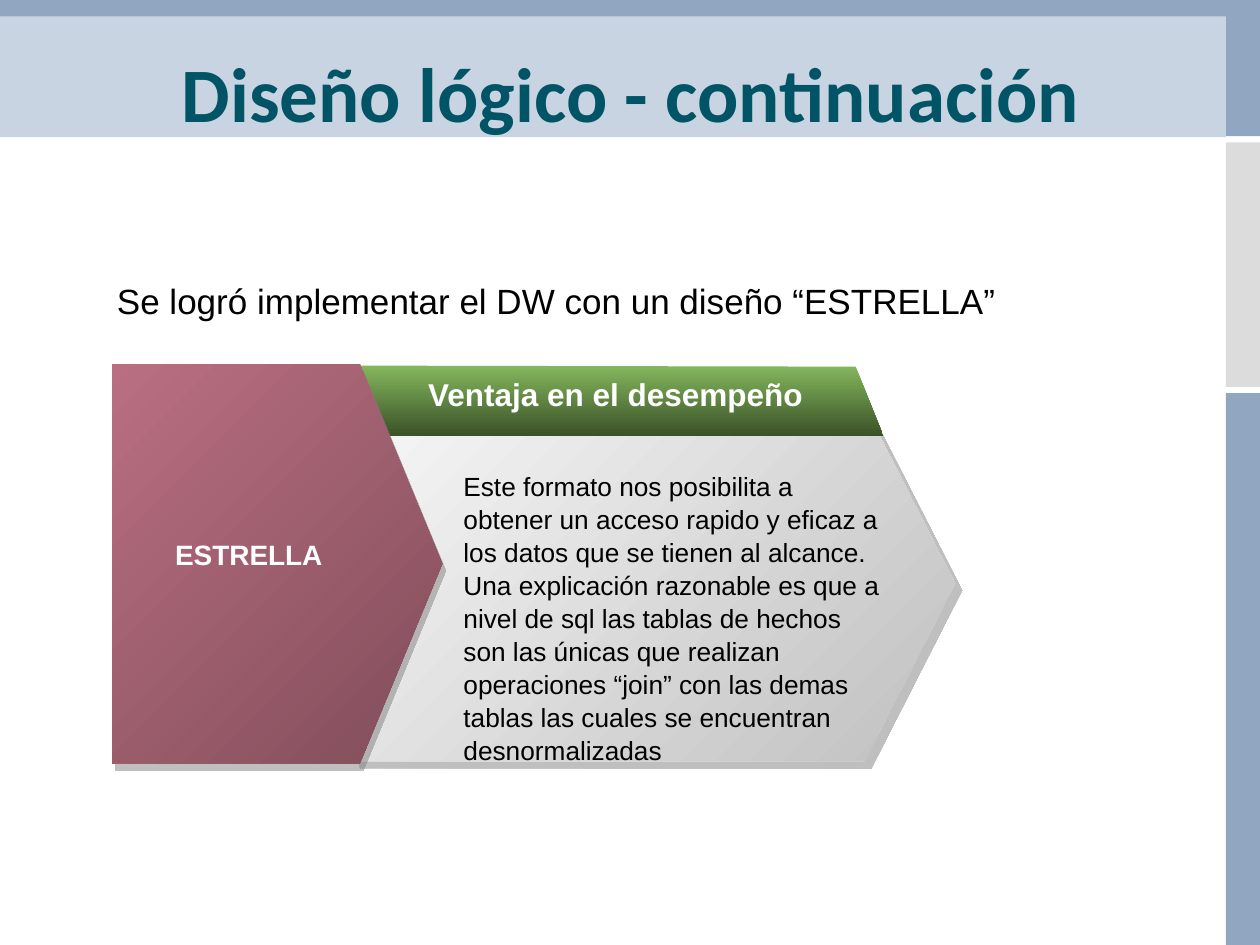
from dataclasses import dataclass

from lxml import etree
from pptx import Presentation
from pptx.dml.color import RGBColor
from pptx.enum.shapes import MSO_SHAPE
from pptx.enum.text import MSO_ANCHOR, PP_ALIGN
from pptx.oxml.ns import qn
from pptx.util import Inches, Pt

RECT, ARROW = MSO_SHAPE.RECTANGLE, MSO_SHAPE.PENTAGON
LEFT, MID = PP_ALIGN.LEFT, PP_ALIGN.CENTER
TOP, CENTER = MSO_ANCHOR.TOP, MSO_ANCHOR.MIDDLE
WIDE, HIGH = Inches(10), Inches(7.5)


@dataclass(frozen=True)
class Theme:
    """Colours, fonts and type sizes of the slide."""
    blue: str = "91A7C1"
    pale: str = "C8D4E2"
    grey: str = "DCDCDC"
    teal: str = "015465"
    white: str = "FFFFFF"
    black: str = "000000"
    shade: str = "808080"
    silver: tuple = ("F7F7F7", "C0C0C0")
    green: tuple = ("84B75D", "3B5228")
    rose: tuple = ("B96F81", "814D5A")
    head: str = "Calibri"
    body: str = "Arial"
    title: int = 44
    lead: int = 20
    band: int = 18
    label: int = 16
    note: int = 15


THEME = Theme()


def place(x, y):
    """Turn percentages of the slide's width and height into lengths."""
    return round(WIDE * x / 100), round(HIGH * y / 100)


def frame(box):
    """Turn a box in percentages into left, top, width and height."""
    return place(*box[:2]) + place(*box[2:])


def paint(shape, fill, angle=0):
    """Give a shape a plain or two-tone fill, without outline or shadow."""
    if isinstance(fill, str):
        shape.fill.solid()
        shape.fill.fore_color.rgb = RGBColor.from_string(fill)
    else:
        shape.fill.gradient()
        shape.fill.gradient_angle = 360 - angle
        for stop, tone in zip(shape.fill.gradient_stops, fill):
            stop.color.rgb = RGBColor.from_string(tone)
    shape.line.fill.background()
    shape.shadow.inherit = False


def add_bar(slide, box, fill):
    """Add a plain rectangle."""
    paint(slide.shapes.add_shape(RECT, *frame(box)), fill)


def add_shade(shape, dist, angle):
    """Add a hard, half transparent shadow."""
    effects = shape.element.spPr.find(qn("a:effectLst"))
    outer = etree.SubElement(effects, qn("a:outerShdw"), blurRad="0",
                             dist=str(Pt(dist)), dir=str(angle * 60000),
                             algn="ctr", rotWithShape="0")
    tone = etree.SubElement(outer, qn("a:srgbClr"), val=THEME.shade)
    etree.SubElement(tone, qn("a:alpha"), val="50000")


def add_arrow(slide, box, fill, tip, dist, angle):
    """Add a pentagon arrow with a diagonal gradient and a shadow."""
    shape = slide.shapes.add_shape(ARROW, *frame(box))
    shape.adjustments[0] = tip
    paint(shape, fill, 45)
    add_shade(shape, dist, angle)


def add_band(slide, points, fill):
    """Add a closed outline with a vertical gradient."""
    first, *rest = [place(*point) for point in points]
    pen = slide.shapes.build_freeform(*first)
    pen.add_line_segments(rest, close=True)
    paint(pen.convert_to_shape(), fill, 90)


def add_text(slide, box, *lines, size, color, font=THEME.body, bold=False,
             align=LEFT, anchor=TOP, space=None):
    """Add a wrapped text box with one paragraph per line."""
    text = slide.shapes.add_textbox(*frame(box)).text_frame
    text.word_wrap = True
    text.vertical_anchor = anchor
    for i, line in enumerate(lines):
        para = text.add_paragraph() if i else text.paragraphs[0]
        para.alignment = align
        para.line_spacing = space
        run = para.add_run()
        run.text = line
        run.font.name = font
        run.font.size = Pt(size)
        run.font.bold = bold
        run.font.color.rgb = RGBColor.from_string(color)


def add_frame(slide):
    """Add the bars along the top and right edges."""
    side = 97.3
    add_bar(slide, (side, 15.07, 100 - side, 25.87), THEME.grey)
    add_bar(slide, (side, 41.6, 100 - side, 58.4), THEME.blue)
    add_bar(slide, (0, 0, 100, 14.4), THEME.blue)
    add_bar(slide, (0, 1.73, side, 12.8), THEME.pale)


def add_star(slide):
    """Add the two arrows and the green band between them."""
    add_arrow(slide, (28, 42.93, 47.8, 37.6), THEME.silver, 0.255, 5.7, 45)
    add_band(slide, [(22.5, 38.67), (23.7, 46.13), (70.1, 46.13),
                     (67.9, 38.8)], THEME.green)
    add_arrow(slide, (8.9, 38.53, 26.2, 42.27), THEME.rose, 0.25, 4.5, 63)


def add_words(slide):
    """Add the title, the lead and the texts on the arrows."""
    add_text(slide, (5.1, 3.87, 90, 11.6), "Diseño lógico - continuación",
             size=THEME.title, color=THEME.teal, font=THEME.head, bold=True,
             align=MID, anchor=CENTER)
    add_text(slide, (9.8, 56.27, 19.9, 4.93), "ESTRELLA", size=THEME.label,
             color=THEME.white, bold=True, align=MID)
    add_text(slide, (30.1, 39.07, 38.2, 5.33), "Ventaja en el desempeño ",
             size=THEME.band, color=THEME.white, bold=True, align=MID)
    add_text(slide, (35.8, 48.93, 35.4, 31.6),
             "Este formato nos posibilita a obtener un acceso rapido y eficaz "
             "a los datos que se tienen al alcance.",
             "Una explicación razonable es que a nivel de sql las tablas de "
             "hechos son las únicas que realizan operaciones “join” con las "
             "demas tablas las cuales se encuentran desnormalizadas",
             size=THEME.note, color=THEME.black, space=1.05)
    add_text(slide, (8.3, 28.93, 85, 5.87),
             "Se logró implementar el DW con un diseño “ESTRELLA”",
             size=THEME.lead, color=THEME.black)


def main():
    """Build the slide and save it."""
    deck = Presentation()
    deck.slide_width, deck.slide_height = WIDE, HIGH
    slide = deck.slides.add_slide(deck.slide_layouts[6])
    add_frame(slide)
    add_star(slide)
    add_words(slide)
    deck.save("out.pptx")


if __name__ == "__main__":
    main()
